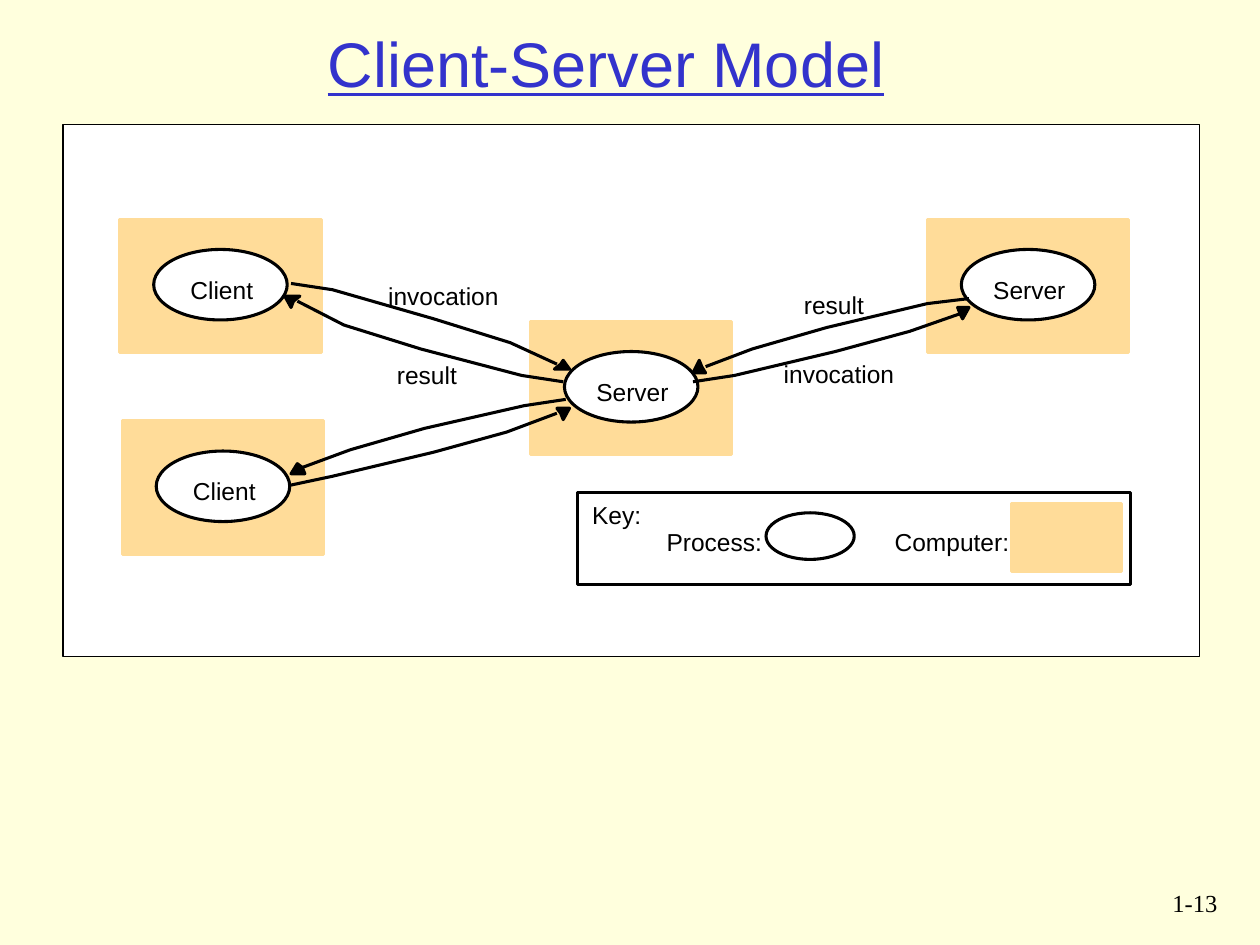
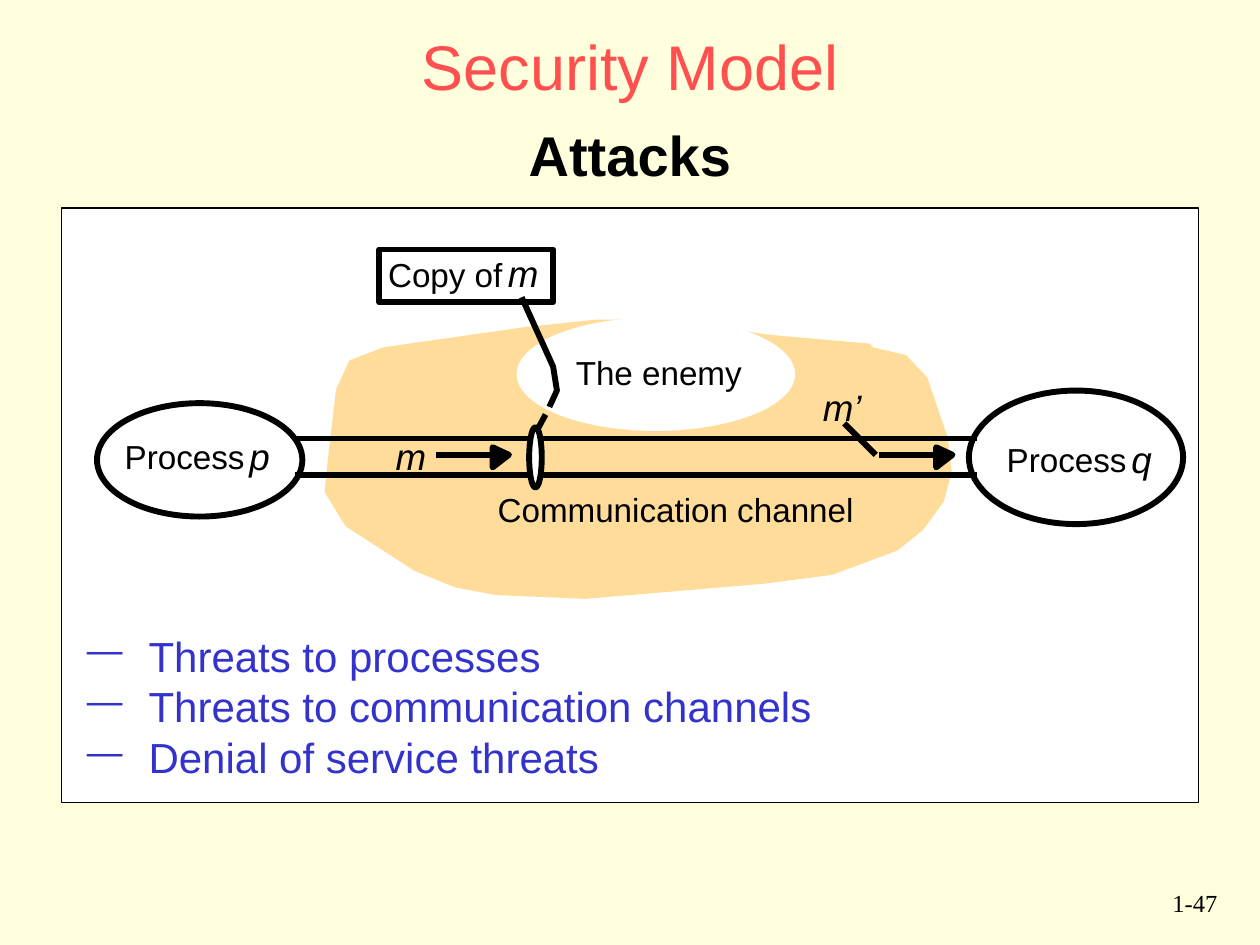
"""Build two slides on the client-server model and the security model."""
from dataclasses import dataclass

from lxml import etree
from pptx import Presentation
from pptx.dml.color import RGBColor
from pptx.enum.shapes import MSO_CONNECTOR, MSO_SHAPE
from pptx.enum.text import MSO_ANCHOR, MSO_AUTO_SIZE, PP_ALIGN
from pptx.oxml.ns import qn
from pptx.util import Inches, Pt

RECTANGLE, OVAL = MSO_SHAPE.RECTANGLE, MSO_SHAPE.OVAL
STRAIGHT = MSO_CONNECTOR.STRAIGHT
LEFT, CENTER, RIGHT = PP_ALIGN.LEFT, PP_ALIGN.CENTER, PP_ALIGN.RIGHT
TOP, MIDDLE = MSO_ANCHOR.TOP, MSO_ANCHOR.MIDDLE
GROW = MSO_AUTO_SIZE.SHAPE_TO_FIT_TEXT
COLUMNS, ROWS = 10, 7.5


@dataclass(frozen=True)
class Theme:
    """Colours, fonts, type sizes and line widths of the deck."""
    paper: str = "FFFFDD"
    white: str = "FFFFFF"
    ink: str = "000000"
    sand: str = "FFDC99"
    blue: str = "3333CC"
    coral: str = "FF5050"
    sans: str = "Arial"
    serif: str = "Times New Roman"
    title: int = 36
    subtitle: int = 32
    bullet: int = 24
    bullet_leading: int = 29
    symbol: int = 21
    caption: int = 19
    small: int = 14
    hairline: float = 0.75
    medium: float = 1.75
    heavy: float = 3.37


class Sketch:
    """Hold the theme and the current page, and draw on its grid."""

    def __init__(self, deck, theme):
        """Remember the deck and the theme."""
        self.deck, self.theme = deck, theme
        self.page = None
        self.weight = theme.medium

    def across(self, columns):
        """Convert grid columns to a length."""
        return round(self.deck.slide_width * columns / COLUMNS)

    def down(self, rows):
        """Convert grid rows to a length."""
        return round(self.deck.slide_height * rows / ROWS)

    def area(self, left, top, width, height):
        """Convert a grid area to lengths."""
        return self.across(left), self.down(top), self.across(width), self.down(height)

    def start(self, number, panel, weight):
        """Add a page with its number and white panel."""
        self.page = self.deck.slides.add_slide(self.deck.slide_layouts[6])
        self.weight = weight
        background = self.page.background.fill
        background.solid()
        background.fore_color.rgb = RGBColor.from_string(self.theme.paper)
        self.text(number, (9.08, 7, 0.68, 0.5), self.theme.small, align=RIGHT,
                  font=self.theme.serif)
        self.shape(RECTANGLE, panel, weight=self.theme.hairline)

    def paint(self, shape, fill, line, weight=None):
        """Give a shape its fill and line, without a shadow."""
        shape.shadow.inherit = False
        if fill:
            shape.fill.solid()
            shape.fill.fore_color.rgb = RGBColor.from_string(fill)
        else:
            shape.fill.background()
        if line:
            shape.line.color.rgb = RGBColor.from_string(line)
            shape.line.width = Pt(weight or self.weight)
        else:
            shape.line.fill.background()

    def shape(self, kind, area, fill=Theme.white, line=Theme.ink, weight=None):
        """Draw a preset shape."""
        box = self.page.shapes.add_shape(kind, *self.area(*area))
        self.paint(box, fill, line, weight)

    def outline(self, points, fill=None, line=Theme.ink, closed=False):
        """Draw a freeform through grid points."""
        spots = [(self.across(x), self.down(y)) for x, y in points]
        builder = self.page.shapes.build_freeform(*spots[0])
        builder.add_line_segments(spots[1:], close=closed)
        self.paint(builder.convert_to_shape(), fill, line)

    def line(self, start, end):
        """Draw a straight line."""
        connector = self.page.shapes.add_connector(
            STRAIGHT, self.across(start[0]), self.down(start[1]),
            self.across(end[0]), self.down(end[1]))
        connector.line.color.rgb = RGBColor.from_string(self.theme.ink)
        connector.line.width = Pt(self.weight)
        etree.SubElement(connector._element.spPr, qn("a:effectLst"))

    def head(self, points):
        """Draw a solid arrowhead."""
        self.outline(points, self.theme.ink, closed=True)

    def text(self, words, area, size, color=Theme.ink, align=LEFT, anchor=TOP,
             font=Theme.sans, bold=False, italic=False, underline=False, tight=False):
        """Write text in a box and return its frame."""
        frame = self.page.shapes.add_textbox(*self.area(*area)).text_frame
        frame.word_wrap = not tight
        frame.vertical_anchor = anchor
        if tight:
            frame.auto_size = GROW
            frame.margin_left = frame.margin_right = 0
            frame.margin_top = frame.margin_bottom = 0
        frame.text = words
        for para in frame.paragraphs:
            para.alignment = align
            for span in para.runs:
                span.font.name, span.font.size = font, Pt(size)
                span.font.color.rgb = RGBColor.from_string(color)
                span.font.bold, span.font.italic = bold, italic
                span.font.underline = underline
        return frame

    def title(self, words, area, color, underline=False):
        """Write the page title."""
        self.text(words, area, self.theme.title, color, CENTER, MIDDLE, underline=underline)

    def label(self, words, left, top, width, size, align=LEFT, italic=False):
        """Write a one-line label without margins."""
        self.text(words, (left, top, width, size / 60), size, align=align,
                  italic=italic, tight=True)

    def bullets(self, lines, area):
        """Write a list with dash bullets."""
        frame = self.text("\n".join(lines), area, self.theme.bullet, self.theme.blue)
        indent = self.across(0.49)
        for para in frame.paragraphs:
            para.line_spacing = Pt(self.theme.bullet_leading)
            properties = para._p.get_or_add_pPr()
            properties.set("marL", str(indent))
            properties.set("indent", str(-indent))
            color = etree.SubElement(properties, qn("a:buClr"))
            etree.SubElement(color, qn("a:srgbClr"), val=self.theme.blue)
            etree.SubElement(properties, qn("a:buSzPct"), val="85000")
            etree.SubElement(properties, qn("a:buChar"), char="―")

    def computer(self, left, top, width=1.6, height=1.06):
        """Draw a computer as a sand-coloured block."""
        self.shape(RECTANGLE, (left, top, width, height), self.theme.sand, self.theme.sand)

    def node(self, role, left, top):
        """Draw a computer that runs one named process."""
        self.computer(left, top)
        self.shape(OVAL, (left + 0.27, top + 0.24, 1.06, 0.56))
        self.label(role, left + 0.5, top + 0.44, 0.62, self.theme.small, CENTER)

    def process(self, letter, area, left, top):
        """Draw a process oval named by a letter."""
        self.shape(OVAL, area)
        self.label("Process", left, top, 1.03, self.theme.caption)
        self.label(letter, left + 0.99, top - 0.02, 0.2, self.theme.symbol, italic=True)


NODES = [("Server", 4.21, 2.55), ("Client", 0.95, 1.74),
         ("Client", 0.97, 3.34), ("Server", 7.36, 1.74)]

MESSAGES = [
    ([(4.47, 3.03), (4.14, 2.98), (3.34, 2.77), (2.73, 2.58), (2.36, 2.39)],
     [(2.33, 2.39), (2.31, 2.44), (2.26, 2.35), (2.38, 2.35)]),
    ([(2.31, 2.25), (2.64, 2.3), (3.44, 2.53), (4.05, 2.72), (4.42, 2.89)],
     [(4.45, 2.89), (4.47, 2.86), (4.52, 2.93), (4.4, 2.93)]),
    ([(2.31, 3.85), (2.64, 3.78), (3.44, 3.59), (4.02, 3.43), (4.42, 3.28)],
     [(4.45, 3.28), (4.42, 3.24), (4.52, 3.24), (4.47, 3.33)]),
    ([(4.49, 3.17), (4.16, 3.22), (3.37, 3.4), (2.78, 3.57), (2.4, 3.71)],
     [(2.4, 3.71), (2.42, 3.76), (2.31, 3.76), (2.36, 3.68)]),
    ([(5.5, 3.03), (5.83, 2.98), (6.63, 2.79), (7.22, 2.63), (7.62, 2.49)],
     [(7.62, 2.49), (7.6, 2.44), (7.69, 2.44), (7.64, 2.53)]),
    ([(7.69, 2.37), (7.36, 2.41), (6.56, 2.6), (5.97, 2.77), (5.6, 2.91)],
     [(5.57, 2.91), (5.6, 2.96), (5.5, 2.96), (5.55, 2.86)]),
]

DIAGRAM_LABELS = [
    ("invocation", 3.08, 2.23, 0.92), ("result", 3.15, 2.86, 0.52),
    ("invocation", 6.22, 2.85, 0.92), ("result", 6.38, 2.3, 0.52),
    ("Key:", 4.7, 3.97, 0.43), ("Process:", 5.29, 4.18, 0.8),
    ("Computer:", 7.1, 4.18, 0.95),
]

NETWORK = [
    (6.89, 2.75), (6.09, 2.68), (5.32, 2.56), (4.74, 2.56), (4.17, 2.62), (3.05, 2.78),
    (2.79, 2.88), (2.69, 3.1), (2.63, 3.61), (2.6, 3.9), (2.76, 4.16), (3.3, 4.51),
    (3.62, 4.64), (3.94, 4.7), (4.65, 4.73), (6.06, 4.61), (6.6, 4.54), (7.11, 4.35),
    (7.31, 4.19), (7.47, 3.97), (7.53, 3.74), (7.5, 3.48), (7.34, 3.01), (7.18, 2.84),
    (6.92, 2.78),
]


def client_server(sketch):
    """Draw clients and servers that exchange messages."""
    theme = sketch.theme
    sketch.start("1-13", (0.5, 0.99, 9.02, 4.22), theme.medium)
    sketch.title("Client-Server Model", (0.56, 0, 8.5, 0.99), theme.blue, underline=True)
    for node in NODES:
        sketch.node(*node)
    for curve, head in MESSAGES:
        sketch.outline(curve)
        sketch.head(head)
    sketch.computer(8.03, 4, 0.87, 0.54)
    sketch.shape(OVAL, (6.08, 4.07, 0.7, 0.37))
    sketch.shape(RECTANGLE, (4.58, 3.91, 4.39, 0.73), fill=None)
    for words, left, top, width in DIAGRAM_LABELS:
        sketch.label(words, left, top, width, theme.small)


def security(sketch):
    """Draw an enemy tapping a channel, and list the threats."""
    theme = sketch.theme
    sketch.start("1-47", (0.49, 1.65, 9.02, 4.72), theme.heavy)
    sketch.title("Security Model", (0, 0, 10, 1.03), theme.coral)
    sketch.text("Attacks", (0, 0.91, 10, 0.64), theme.subtitle, align=CENTER, bold=True)

    sketch.outline(NETWORK, theme.sand, theme.sand, closed=True)
    sketch.shape(OVAL, (4.1, 2.52, 2.21, 0.9), line=None)
    sketch.process("q", (7.69, 3.1, 1.7, 1.06), 7.99, 3.49)
    sketch.process("p", (0.77, 3.2, 1.63, 0.9), 0.99, 3.46)
    for wall in (3.48, 3.77):
        sketch.line((2.34, wall), (7.75, wall))

    for tail in (3.46, 6.98):
        tip = tail + 0.45
        sketch.line((tail, 3.61), (tip, 3.61))
        sketch.head([(tip, 3.55), (tip + 0.13, 3.61), (tip, 3.71)])
    sketch.line((6.95, 3.61), (6.7, 3.36))

    sketch.shape(RECTANGLE, (3.01, 1.98, 1.38, 0.42), fill=None)
    sketch.shape(OVAL, (4.2, 3.39, 0.1, 0.48))
    sketch.line((4.26, 3.42), (4.33, 3.29))
    sketch.outline([(4.14, 2.36), (4.39, 2.91), (4.42, 3.1), (4.36, 3.23)])

    for words, left, top, width in [("Communication channel", 3.95, 3.88, 2.9),
                                    ("Copy of", 3.08, 2.02, 0.98),
                                    ("The enemy", 4.57, 2.8, 1.4)]:
        sketch.label(words, left, top, width, theme.caption)
    for words, left, top, width in [("m", 4.03, 1.99, 0.28), ("m", 3.14, 3.44, 0.28),
                                    ("m’", 6.53, 3.05, 0.35)]:
        sketch.label(words, left, top, width, theme.symbol, italic=True)

    sketch.bullets(["Threats to processes", "Threats to communication channels",
                    "Denial of service threats"], (0.59, 4.95, 8.55, 1.3))


def main():
    """Build and save the deck."""
    deck = Presentation()
    deck.slide_width, deck.slide_height = Inches(10), Inches(7.5)
    sketch = Sketch(deck, Theme())
    client_server(sketch)
    security(sketch)
    deck.save("out.pptx")


if __name__ == "__main__":
    main()
